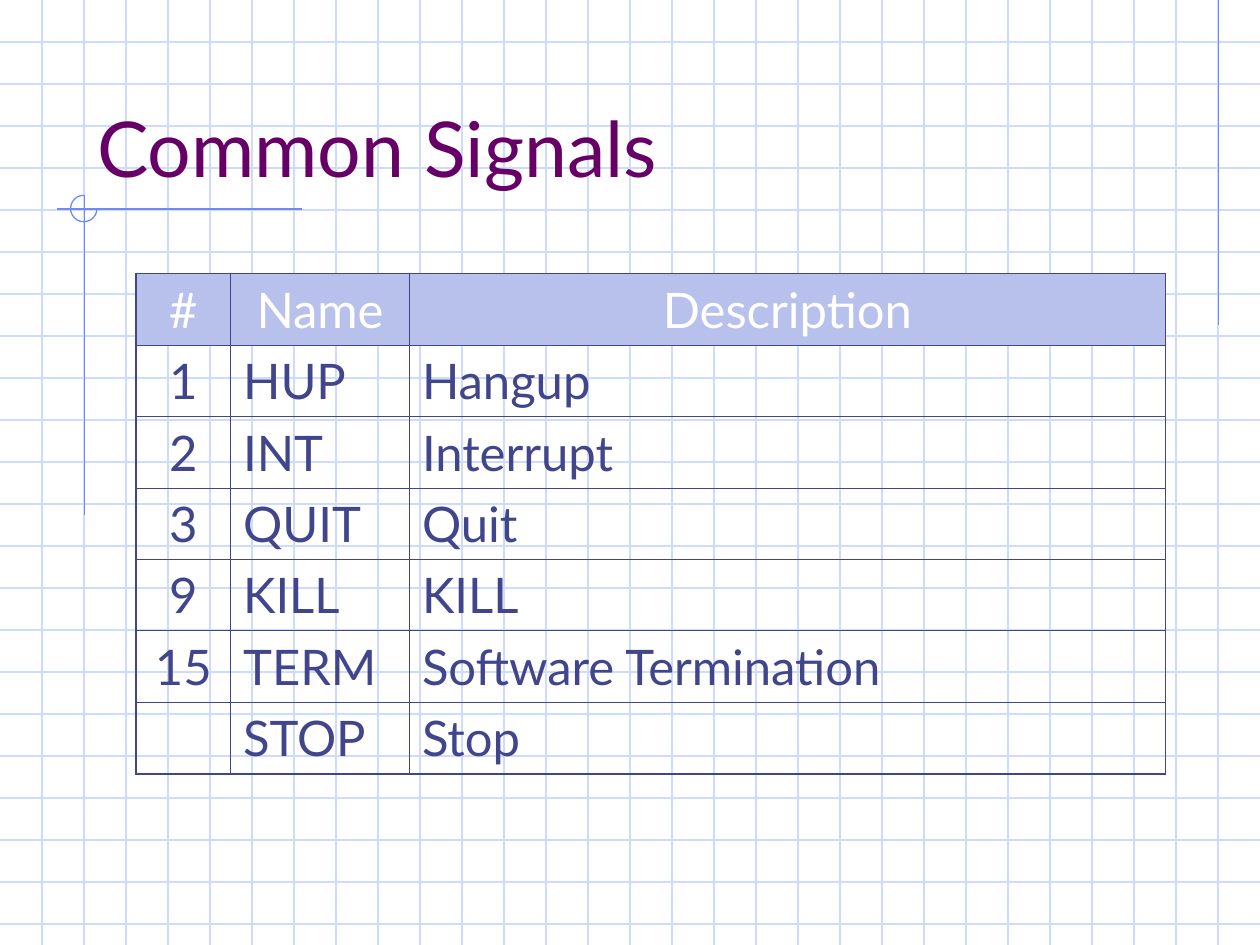
from lxml import etree
from pptx import Presentation
from pptx.dml.color import RGBColor
from pptx.enum import shapes, text
from pptx.oxml import ns
from pptx.util import Inches, Pt

COLORS = {
    "grid": "CFDBFD",
    "accent": "6F89F7",
    "title": "660066",
    "header": "B7C1EB",
    "header_text": "FFFFFF",
    "ink": "40458C",
}
FONT = "Lato"


def add_rule(x1, y1, x2, y2, color):
    rule = slide.shapes.add_connector(
        shapes.MSO_CONNECTOR.STRAIGHT, Inches(x1), Inches(y1), Inches(x2), Inches(y2))
    rule.line.color.rgb = RGBColor.from_string(COLORS[color])
    rule.line.width = Pt(0.75)
    etree.SubElement(rule._element.spPr, ns.qn("a:effectLst"))


def set_borders(cell, widths):
    """Draw the cell's borders; widths maps a side (L, R, T, B) to points."""
    properties = cell._tc.get_or_add_tcPr()
    for position, (side, width) in enumerate(widths.items()):
        border = etree.Element(ns.qn(f"a:ln{side}"), w=str(Pt(width)))
        fill = etree.SubElement(border, ns.qn("a:solidFill"))
        etree.SubElement(fill, ns.qn("a:srgbClr"), val=COLORS["ink"])
        properties.insert(position, border)


prs = Presentation()
prs.slide_width, prs.slide_height = Inches(10), Inches(7.5)
slide = prs.slides.add_slide(prs.slide_layouts[5])

# Graph-paper grid, three squares to the inch
for step in range(1, 23):
    add_rule(0, step / 3, 10, step / 3, "grid")
for step in range(1, 30):
    add_rule(step / 3, 0, step / 3, 7.5, "grid")

# Accent rules and the arc where they cross
add_rule(9.67, 0, 9.67, 2.58, "accent")
add_rule(2.4, 1.66, 0.45, 1.66, "accent")
add_rule(0.67, 1.55, 0.67, 4.09, "accent")
arc = slide.shapes.add_shape(
    shapes.MSO_SHAPE.ARC, Inches(0.56), Inches(1.55), Inches(0.21), Inches(0.21))
arc.adjustments[0] = 0
arc.adjustments[1] = 270 * 0.6  # 270 degrees
arc.shadow.inherit = False
arc.fill.background()
arc.line.color.rgb = RGBColor.from_string(COLORS["accent"])
arc.line.width = Pt(0.75)

# Title, brought in front of the grid
title = slide.shapes.title
slide.shapes._spTree.append(title._element)
title.left, title.top = Inches(0.67), Inches(0.33)
title.width, title.height = Inches(8.5), Inches(1.25)
title.text_frame.text = "Common Signals"
title.text_frame.vertical_anchor = text.MSO_ANCHOR.BOTTOM
heading = title.text_frame.paragraphs[0]
heading.alignment = text.PP_ALIGN.LEFT
heading.font.name, heading.font.size = FONT, Pt(44)
heading.font.color.rgb = RGBColor.from_string(COLORS["title"])

# Table of signals
signals = [
    ("#", "Name", "Description"),
    ("1", "HUP", "Hangup"),
    ("2", "INT", "Interrupt"),
    ("3", "QUIT", "Quit"),
    ("9", "KILL", "KILL"),
    ("15", "TERM", "Software Termination"),
    ("", "STOP", "Stop"),
]
column_widths = [0.75, 1.42, 6]
last_row, last_column = len(signals) - 1, len(column_widths) - 1
table = slide.shapes.add_table(
    len(signals), len(column_widths),
    Inches(1.08), Inches(2.17), Inches(sum(column_widths)), Inches(3.97)).table
table.first_row = table.horz_banding = False
for column, width in zip(table.columns, column_widths):
    column.width = Inches(width)

for r, signal in enumerate(signals):
    for c, value in enumerate(signal):
        cell = table.cell(r, c)
        cell.text = value
        if r == 0:
            cell.fill.solid()
            cell.fill.fore_color.rgb = RGBColor.from_string(COLORS["header"])
        else:
            cell.fill.background()
        entry = cell.text_frame.paragraphs[0]
        centred = r == 0 or c == 0
        entry.alignment = text.PP_ALIGN.CENTER if centred else text.PP_ALIGN.LEFT
        entry.space_before = Pt(7)
        entry.font.name, entry.font.size = FONT, Pt(28)
        entry.font.color.rgb = RGBColor.from_string(
            COLORS["header_text" if r == 0 else "ink"])
        # The outer frame is heavier than the inner lines
        outer = {"L": c == 0, "R": c == last_column, "T": r == 0, "B": r == last_row}
        set_borders(cell, {side: 1.08 if edge else 0.45 for side, edge in outer.items()})

prs.save("out.pptx")
